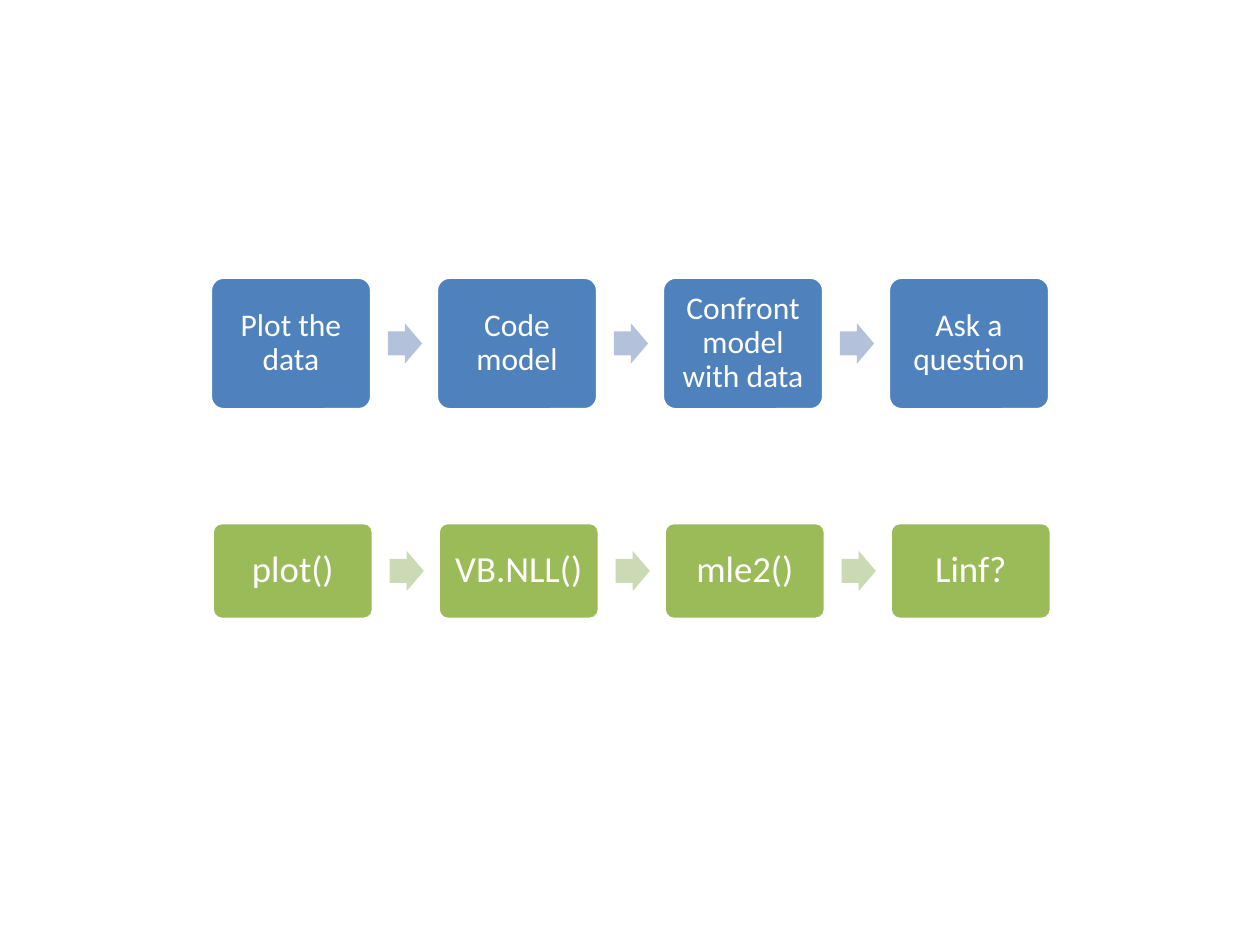
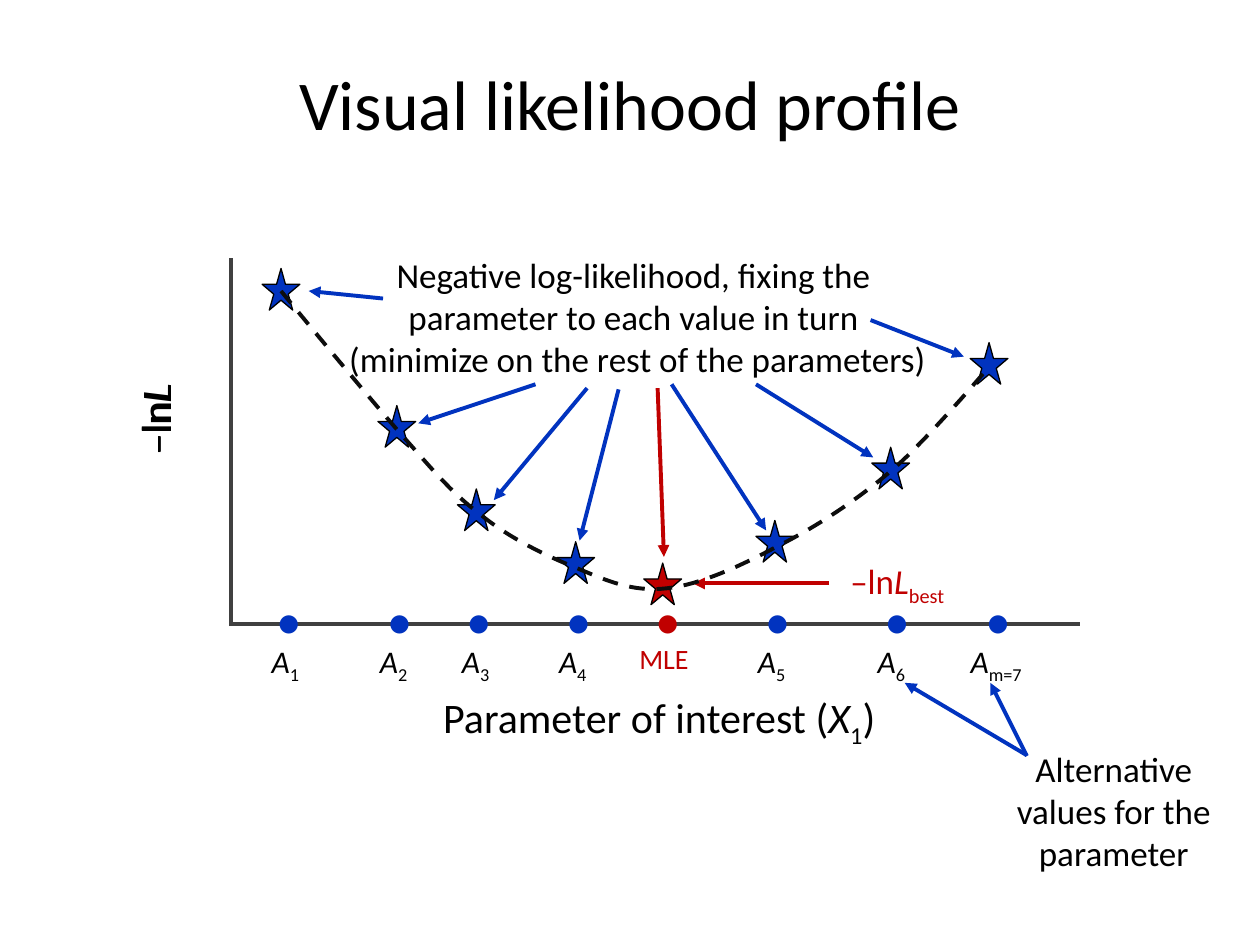
import lxml.etree
import pptx
import pptx.dml.color
import pptx.enum.dml
import pptx.enum.shapes
import pptx.enum.text
import pptx.oxml.ns
import pptx.util

RGBColor = pptx.dml.color.RGBColor
Pt = pptx.util.Pt
Shape = pptx.enum.shapes.MSO_SHAPE
Align = pptx.enum.text.PP_ALIGN
qn = pptx.oxml.ns.qn

WHITE = RGBColor(0xFF, 0xFF, 0xFF)
BLACK = RGBColor(0x00, 0x00, 0x00)
STEP_BLUE = RGBColor(0x4F, 0x81, 0xBD)
STEP_BLUE_PALE = RGBColor(0xB3, 0xC1, 0xDB)
STEP_GREEN = RGBColor(0x9B, 0xBB, 0x59)
STEP_GREEN_PALE = RGBColor(0xCB, 0xDA, 0xB5)
AXIS_GREY = RGBColor(0x40, 0x40, 0x40)
CURVE_BLACK = RGBColor(0x0D, 0x0D, 0x0D)
PROFILE_BLUE = RGBColor(0x01, 0x33, 0xBF)
BEST_RED = RGBColor(0xC0, 0x00, 0x00)

FONT = "Calibri"
DOT_FONT = "Lato"
LINE_WIDTH = 2.25


class Painter:
    """Draws elements in the deck's style on the current slide."""

    def __init__(self, deck):
        self.deck = deck
        self.slide = None

    def new_slide(self):
        self.slide = self.deck.slides.add_slide(self.deck.slide_layouts[6])

    def style_run(self, run, size, color, font=FONT):
        run.font.name = font
        run.font.size = Pt(size)
        run.font.color.rgb = color

    def shape(self, preset, left, top, width, height, fill, adjustments=()):
        shape = self.slide.shapes.add_shape(
            preset, Pt(left), Pt(top), Pt(width), Pt(height))
        shape.shadow.inherit = False
        shape.fill.solid()
        shape.fill.fore_color.rgb = fill
        shape.line.fill.background()
        for index, value in enumerate(adjustments):
            shape.adjustments[index] = value
        return shape

    def outline(self, shape, color, width):
        shape.line.color.rgb = color
        shape.line.width = Pt(width)

    def step(self, text, left, top, width, height, fill, size, inset):
        box = self.shape(Shape.ROUNDED_RECTANGLE, left, top, width, height, fill, [0.1])
        self.outline(box, WHITE, 2)
        frame = box.text_frame
        frame.text = text
        frame.word_wrap = True
        frame.vertical_anchor = pptx.enum.text.MSO_ANCHOR.MIDDLE
        frame.margin_left = frame.margin_right = Pt(inset)
        frame.margin_top = frame.margin_bottom = Pt(inset)
        para = frame.paragraphs[0]
        para.alignment = Align.CENTER
        para.line_spacing = 0.9
        self.style_run(para.runs[0], size, WHITE)

    def star(self, left, top, fill):
        star = self.shape(Shape.STAR_5_POINT, left, top, 21.6, 23.8, fill)
        self.outline(star, BLACK, 0.75)

    def text(self, text, left, top, width, height, size, color=BLACK,
             align=Align.CENTER, font=FONT, wrap=False):
        box = self.slide.shapes.add_textbox(Pt(left), Pt(top), Pt(width), Pt(height))
        frame = box.text_frame
        frame.text = text
        frame.word_wrap = wrap
        frame.auto_size = pptx.enum.text.MSO_AUTO_SIZE.SHAPE_TO_FIT_TEXT
        for para in frame.paragraphs:
            para.alignment = align
            for run in para.runs:
                self.style_run(run, size, color, font)
        return box

    def formula(self, parts, left, top, width, height, size, color=BLACK, align=Align.LEFT):
        """Write (text, role) parts, where the role is "", "italic" or "sub"."""
        box = self.text("", left, top, width, height, size, color, align)
        para = box.text_frame.paragraphs[0]
        for text, role in parts:
            run = para.add_run()
            run.text = text
            self.style_run(run, size, color)
            run.font.italic = role == "italic"
            if role == "sub":
                run._r.get_or_add_rPr().set("baseline", "-25000")
        return box

    def title(self, text):
        box = self.text(text, 36, 21.6, 648, 74.2, 40, wrap=True)
        box.text_frame.auto_size = pptx.enum.text.MSO_AUTO_SIZE.NONE
        box.text_frame.vertical_anchor = pptx.enum.text.MSO_ANCHOR.MIDDLE

    def line(self, start, end, color, arrow=False):
        line = self.slide.shapes.add_connector(
            pptx.enum.shapes.MSO_CONNECTOR.STRAIGHT, *map(Pt, start + end))
        self.outline(line, color, LINE_WIDTH)
        properties = line._element.spPr
        if arrow:
            lxml.etree.SubElement(properties.find(qn("a:ln")), qn("a:tailEnd"), type="triangle")
        lxml.etree.SubElement(properties, qn("a:effectLst"))

    def dashed_curve(self, points, color):
        points = [(Pt(x), Pt(y)) for x, y in points]
        builder = self.slide.shapes.build_freeform(*points[0])
        builder.add_line_segments(points[1:], close=False)
        curve = builder.convert_to_shape()
        curve.shadow.inherit = False
        curve.fill.background()
        self.outline(curve, color, LINE_WIDTH)
        curve.line.dash_style = pptx.enum.dml.MSO_LINE.DASH


def bezier_points(controls, steps=16):
    """Sample a chain of cubic curves; neighbours share their end point."""
    points = [controls[0]]
    for first in range(0, len(controls) - 1, 3):
        a, b, c, d = controls[first:first + 4]
        for step in range(1, steps + 1):
            t = step / steps
            u = 1 - t
            points.append(tuple(
                u**3 * a[i] + 3 * u * u * t * b[i] + 3 * u * t * t * c[i] + t**3 * d[i]
                for i in (0, 1)))
    return points


def draw_process(painter, labels, left, top, height, fill, arrow_fill, size, inset):
    pitch, width = 129.14, 92.2
    arrow_width, arrow_height = 19.5, 22.9
    for index, label in enumerate(labels):
        step_left = left + index * pitch
        painter.step(label, step_left, top, width, height, fill, size, inset)
        if index < len(labels) - 1:
            painter.shape(Shape.RIGHT_ARROW, step_left + 101.5,
                          top + (height - arrow_height) / 2,
                          arrow_width, arrow_height, arrow_fill, [0.6, 0.5])


def build_workflow_slide(painter):
    painter.new_slide()
    draw_process(painter,
                 ["Plot the data", "Code model", "Confront model with data", "Ask a question"],
                 120.2, 158.4, 75.8, STEP_BLUE, STEP_BLUE_PALE, 18, 5)
    draw_process(painter, ["plot()", "VB.NLL()", "mle2()", "Linf?"],
                 121.2, 298.6, 55.4, STEP_GREEN, STEP_GREEN_PALE, 21, 6.3)


# Subscript, label left, label width, dot left, star left, star top
ALTERNATIVES = [
    ("1", 147.6, 31, 149.8, 149.8, 153.4),
    ("2", 209.5, 31, 213.1, 216, 231.8),
    ("3", 256.3, 31, 258.5, 261.4, 279.4),
    ("4", 311.8, 31, 315.4, 318.2, 309.6),
    ("5", 425.5, 31, 429.1, 432, 297.4),
    ("6", 493.9, 31, 497.5, 498.2, 255.6),
    ("m=7", 545.8, 46.8, 555.1, 554.4, 195.8),
]
BLUE_ARROWS = [
    ((586.8, 431.6), (517, 390.2)),
    ((586.8, 432), (565.9, 390.2)),
    ((306, 219.6), (239, 241.9)),
    ((353.5, 222.5), (331.2, 308.9)),
    ((383.8, 219.6), (437.8, 303.1)),
    ((432, 219.6), (499, 261.4)),
    ((335.5, 221.8), (282.2, 285.8)),
    ((218.9, 170.6), (176.4, 166.3)),
    ((497.5, 182.9), (550.8, 203.8)),
]
RED_ARROWS = [
    ((473.8, 333.4), (396, 333.4)),
    ((375.8, 221.8), (379.4, 318.2)),
]
CURVE_CONTROLS = [
    (160.6, 166.3),
    (184.3, 195.1), (208.8, 224.6), (227.5, 246.2),
    (246.2, 267.1), (257, 280.8), (274.3, 293.8),
    (290.9, 307.4), (311.8, 317.5), (329.8, 324.7),
    (347, 331.9), (361.4, 338.4), (380.9, 336.2),
    (400.3, 334.1), (423.4, 323.3), (445, 311.8),
    (466.6, 301), (489.6, 285.8), (509.8, 268.6),
    (529.9, 251.3), (565.9, 208.8), (565.9, 208.8),
]


def build_profile_slide(painter):
    painter.new_slide()
    painter.title("Visual likelihood profile")

    painter.line((131, 356.4), (617, 356.4), AXIS_GREY)
    painter.line((131.8, 357.8), (131.8, 147.6), AXIS_GREY)
    painter.formula([("Parameter of interest (", ""), ("X", "italic"), ("1", "sub"), (")", "")],
                    246.2, 391.7, 268.6, 36, 24)
    for top in (221, 221.8):  # the doubled label gives a heavier stroke
        axis_label = painter.formula([("–ln", ""), ("L", "italic")], 60.5, top, 55.4, 36, 24)
        axis_label.rotation = 270

    dots = [(row[3], PROFILE_BLUE) for row in ALTERNATIVES] + [(366.5, BEST_RED)]
    for left, color in dots:
        painter.text("•", left, 334.1, 18.7, 41, 28, color, Align.LEFT, DOT_FONT, wrap=True)
    stars = [(*row[4:], PROFILE_BLUE) for row in ALTERNATIVES] + [(367.9, 321.8, BEST_RED)]
    for left, top, color in stars:
        painter.star(left, top, color)
    for subscript, left, width, *_ in ALTERNATIVES:
        painter.formula([("A", "italic"), (subscript, "sub")],
                        left, 363.6, width, 28.8, 18, align=Align.CENTER)

    painter.text("MLE", 357.8, 362.9, 43.2, 26.6, 16, BEST_RED)
    painter.formula([("–ln", ""), ("L", "italic"), ("best", "sub")],
                    478.8, 316.1, 72, 31.7, 20, BEST_RED)
    painter.text("Alternative\nvalues for the\nparameter", 573.1, 423.4, 126.7, 79.9, 20)
    painter.text("Negative log-likelihood, fixing the \nparameter to each value in turn \n"
                 "(minimize on the rest of the parameters)", 190.8, 141.1, 347, 79.9, 20)

    for arrows, color in ((BLUE_ARROWS, PROFILE_BLUE), (RED_ARROWS, BEST_RED)):
        for start, end in arrows:
            painter.line(start, end, color, arrow=True)
    painter.dashed_curve(bezier_points(CURVE_CONTROLS), CURVE_BLACK)


def main():
    deck = pptx.Presentation()
    deck.slide_width, deck.slide_height = Pt(720), Pt(540)
    painter = Painter(deck)
    build_workflow_slide(painter)
    build_profile_slide(painter)
    deck.save("out.pptx")


if __name__ == "__main__":
    main()
